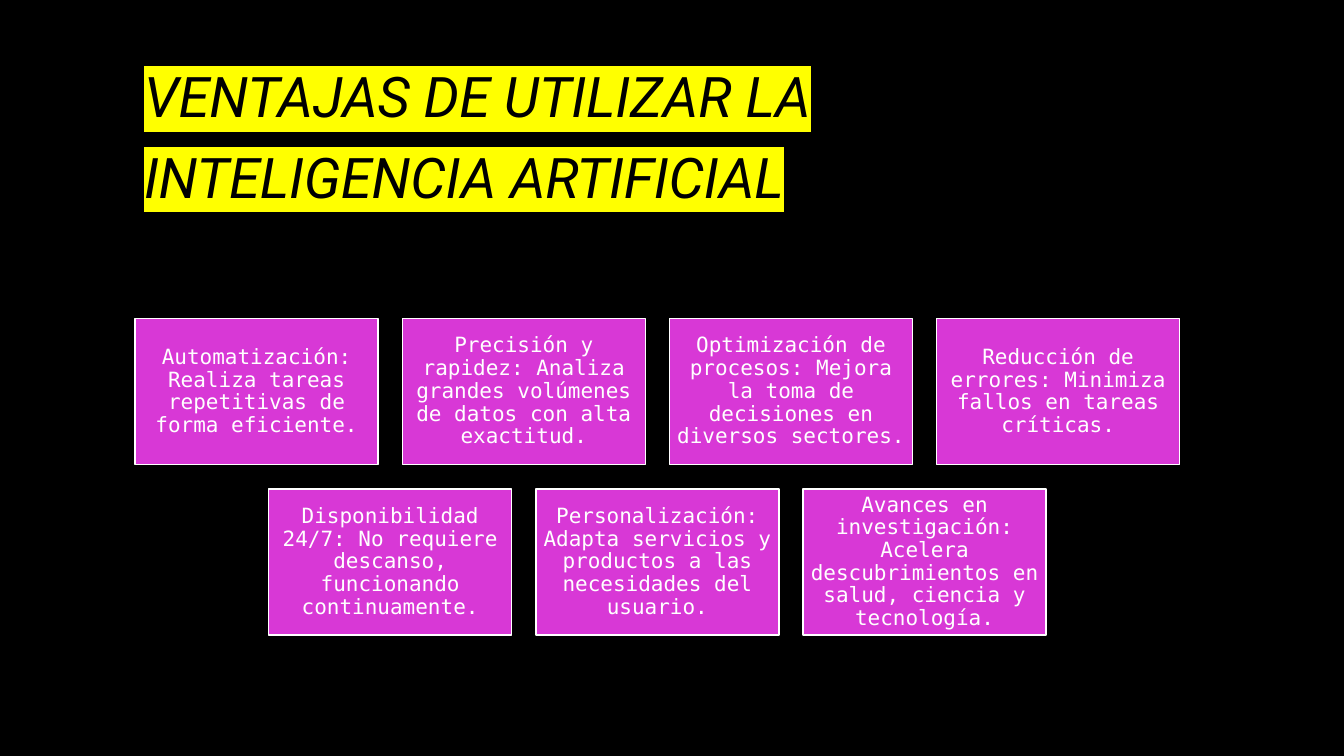
from dataclasses import dataclass

import pptx
import pptx.util
import pptx.dml.color
import pptx.enum.shapes
import pptx.enum.text
import pptx.oxml
import pptx.oxml.ns
from pptx.util import Inches

ANCHOR = pptx.enum.text.MSO_ANCHOR
ALIGN = pptx.enum.text.PP_ALIGN


@dataclass(frozen=True)
class Theme:
    background: str = "000000"
    title_color: str = "000000"
    highlight: str = "FFFF00"
    card_fill: str = "D838D6"
    card_text: str = "FFFFFF"
    title_font: str = "Roboto"
    card_font: str = "DejaVu Sans Mono"
    title_size: int = 40
    card_size: int = 15
    line_width: int = 1


def color(value):
    return pptx.dml.color.RGBColor.from_string(value)


def apply(target, values):
    for name, value in values.items():
        setattr(target, name, value)


class SlideBuilder:
    def __init__(self, slide, theme):
        self.slide = slide
        self.theme = theme

    def background(self):
        fill = self.slide.background.fill
        fill.solid()
        fill.fore_color.rgb = color(self.theme.background)

    def add_text(self, shape, text, frame_format, paragraph_format, font_format, text_color):
        frame = shape.text_frame
        apply(frame, {"word_wrap": True, **frame_format})
        paragraph = frame.paragraphs[0]
        apply(paragraph, paragraph_format)
        run = paragraph.add_run()
        run.text = text
        apply(run.font, font_format)
        run.font.color.rgb = color(text_color)
        return run

    def highlight(self, run):
        namespace = pptx.oxml.ns.nsdecls("a")
        mark = pptx.oxml.parse_xml(
            f'<a:highlight {namespace}><a:srgbClr val="{self.theme.highlight}"/></a:highlight>'
        )
        properties = run.font._element
        properties.find(pptx.oxml.ns.qn("a:solidFill")).addnext(mark)

    def title(self, text, left, top, width, height):
        theme = self.theme
        shape = self.slide.shapes.add_textbox(
            Inches(left), Inches(top), Inches(width), Inches(height)
        )
        run = self.add_text(
            shape,
            text,
            {"vertical_anchor": ANCHOR.BOTTOM, "margin_right": Inches(0.2)},
            {"line_spacing": 1.2},
            {"name": theme.title_font, "size": pptx.util.Pt(theme.title_size), "italic": True},
            theme.title_color,
        )
        self.highlight(run)

    def card(self, text, left, top, width, height):
        theme = self.theme
        shape = self.slide.shapes.add_shape(
            pptx.enum.shapes.MSO_SHAPE.RECTANGLE,
            Inches(left), Inches(top), Inches(width), Inches(height),
        )
        shape.shadow.inherit = False
        shape.fill.solid()
        shape.fill.fore_color.rgb = color(theme.card_fill)
        shape.line.color.rgb = color(theme.card_text)
        shape.line.width = pptx.util.Pt(theme.line_width)
        margins = {f"margin_{side}": Inches(0.06) for side in ("left", "top", "right", "bottom")}
        self.add_text(
            shape,
            text,
            {"vertical_anchor": ANCHOR.MIDDLE, **margins},
            {"alignment": ALIGN.CENTER, "line_spacing": 0.9},
            {"name": theme.card_font, "size": pptx.util.Pt(theme.card_size)},
            theme.card_text,
        )

    def centered_rows(self, rows, center, top, width, height, gap):
        for row_index, texts in enumerate(rows):
            left = center - (len(texts) * (width + gap) - gap) / 2
            for column, text in enumerate(texts):
                self.card(
                    text,
                    left + column * (width + gap),
                    top + row_index * (height + gap),
                    width,
                    height,
                )


ADVANTAGES = [
    [
        "Automatización: Realiza tareas repetitivas de forma eficiente.",
        "Precisión y rapidez: Analiza grandes volúmenes de datos con alta exactitud.",
        "Optimización de procesos: Mejora la toma de decisiones en diversos sectores.",
        "Reducción de errores: Minimiza fallos en tareas críticas.",
    ],
    [
        "Disponibilidad 24/7: No requiere descanso, funcionando continuamente.",
        "Personalización: Adapta servicios y productos a las necesidades del usuario.",
        "Avances en investigación: Acelera descubrimientos en salud, ciencia y tecnología.",
    ],
]


def main():
    presentation = pptx.Presentation()
    apply(presentation, {"slide_width": Inches(13.33), "slide_height": Inches(7.5)})
    slide = presentation.slides.add_slide(presentation.slide_layouts[6])
    builder = SlideBuilder(slide, Theme())
    builder.background()
    builder.title("VENTAJAS DE UTILIZAR LA INTELIGENCIA ARTIFICIAL", 1.33, 0.4, 10.38, 1.73)
    builder.centered_rows(ADVANTAGES, center=6.52, top=3.16, width=2.41, height=1.45, gap=0.24)
    presentation.save("out.pptx")


if __name__ == "__main__":
    main()
